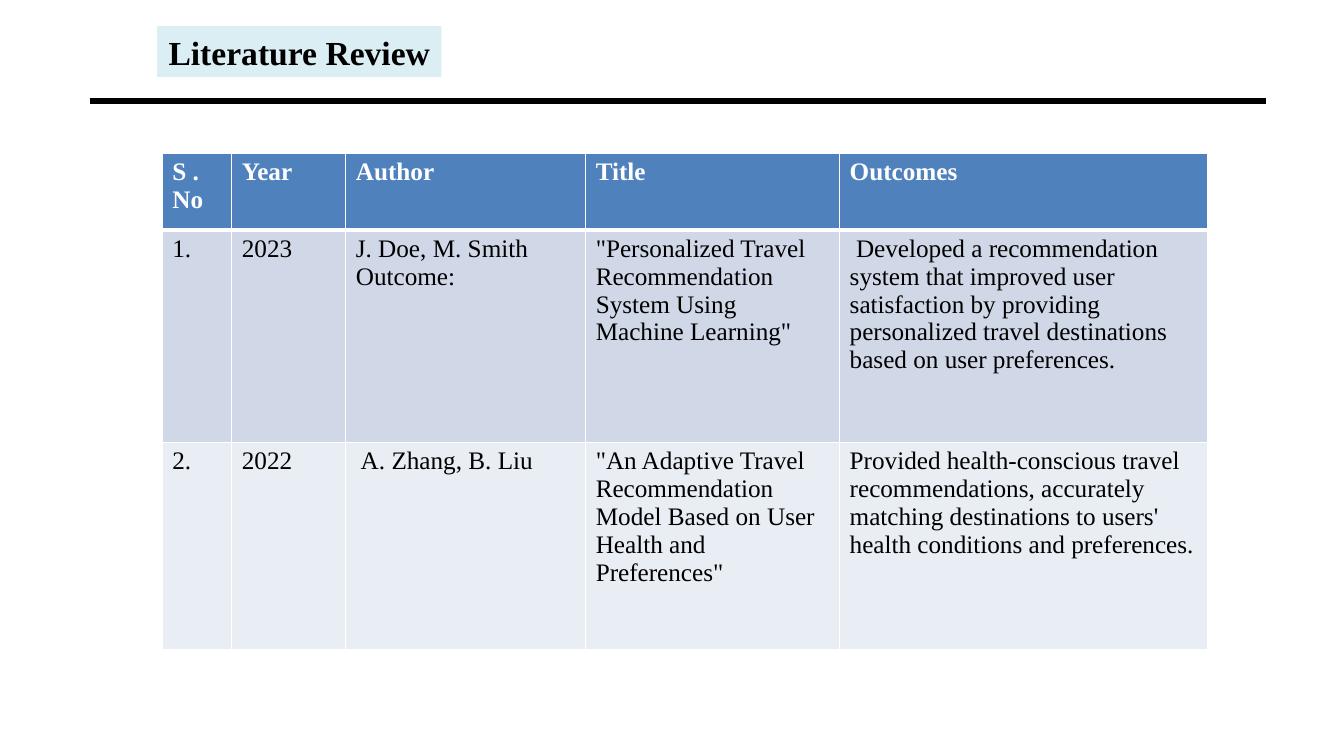
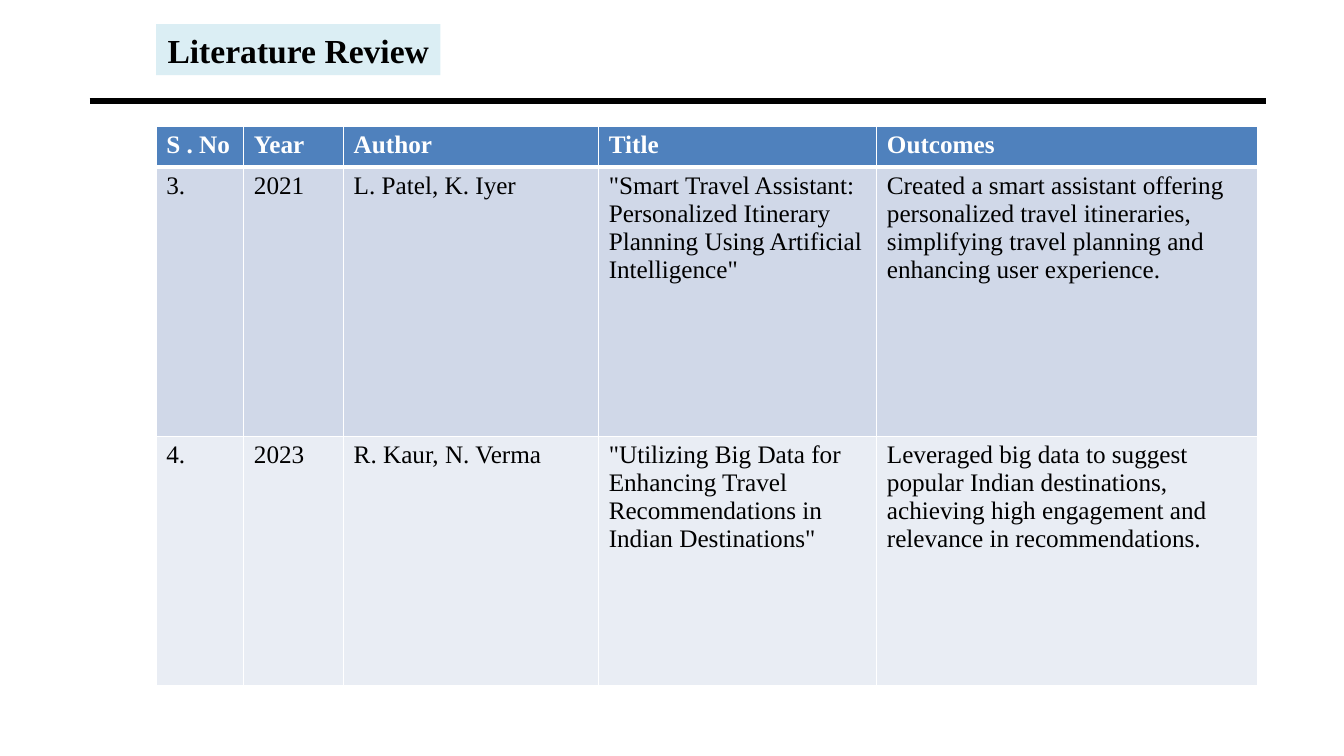
from lxml.etree import SubElement
from pptx import Presentation
from pptx.dml.color import RGBColor
from pptx.enum.shapes import MSO_CONNECTOR, MSO_SHAPE
from pptx.enum.text import MSO_ANCHOR, MSO_AUTO_SIZE, PP_ALIGN
from pptx.oxml.ns import qn
from pptx.util import Pt

BLACK = RGBColor(0x00, 0x00, 0x00)
WHITE = RGBColor(0xFF, 0xFF, 0xFF)
TITLE_FILL = RGBColor(0xDB, 0xEE, 0xF4)
HEADER_FILL = RGBColor(0x4F, 0x81, 0xBD)
BAND_FILLS = [RGBColor(0xD0, 0xD8, 0xE8), RGBColor(0xE9, 0xED, 0xF4)]
FONT = "Times New Roman"

TITLE = "Literature Review"
HEADER = ["S . No", "Year", "Author", "Title", "Outcomes"]

REVIEWS = [
    {
        "title_at": (112.3, 18.7),
        "table_at": (115.9, 109.4),
        "widths": [49.7, 81.4, 171.4, 181.4, 262.8],
        "heights": [54.7, 151.9, 148.3],
        "papers": [
            ["1.", "2023", "J. Doe, M. Smith\nOutcome:",
             '"Personalized Travel Recommendation System Using Machine Learning"',
             " Developed a recommendation system that improved user satisfaction by "
             "providing personalized travel destinations based on user preferences."],
            ["2.", "2022", " A. Zhang, B. Liu",
             '"An Adaptive Travel Recommendation Model Based on User Health and '
             'Preferences"',
             "Provided health-conscious travel recommendations, accurately matching "
             "destinations to users' health conditions and preferences."],
        ],
    },
    {
        "title_at": (111.6, 17.3),
        "table_at": (111.6, 90),
        "widths": [62.6, 71.3, 182.2, 198.7, 272.2],
        "heights": [29.5, 192.2, 177.8],
        "papers": [
            ["3.", "2021", "L. Patel, K. Iyer",
             '"Smart Travel Assistant: Personalized Itinerary Planning Using '
             'Artificial Intelligence"',
             "Created a smart assistant offering personalized travel itineraries, "
             "simplifying travel planning and enhancing user experience."],
            ["4.", "2023", "R. Kaur, N. Verma",
             '"Utilizing Big Data for Enhancing Travel Recommendations in Indian '
             'Destinations"',
             "Leveraged big data to suggest popular Indian destinations, achieving "
             "high engagement and relevance in recommendations."],
        ],
    },
]


def set_text(tf, text, size, color, bold):
    tf.text = text
    for p in tf.paragraphs:
        for r in p.runs:
            r.font.name = FONT
            r.font.size = Pt(size)
            r.font.bold = bold
            r.font.color.rgb = color


def add_rule(s):
    """Draw the heavy line below the title."""
    line = s.shapes.add_connector(
        MSO_CONNECTOR.STRAIGHT, Pt(64), Pt(72), Pt(904.3), Pt(72))
    line.line.color.rgb = BLACK
    line.line.width = Pt(4.5)
    SubElement(line._element.spPr, qn("a:effectLst"))


def add_title(s, left, top):
    sp = s.shapes.add_shape(
        MSO_SHAPE.RECTANGLE, Pt(left), Pt(top), Pt(203), Pt(36.3))
    sp.shadow.inherit = False
    sp.fill.solid()
    sp.fill.fore_color.rgb = TITLE_FILL
    sp.line.fill.background()
    tf = sp.text_frame
    set_text(tf, TITLE, 24, BLACK, True)
    tf.word_wrap = False
    tf.auto_size = MSO_AUTO_SIZE.SHAPE_TO_FIT_TEXT
    tf.vertical_anchor = MSO_ANCHOR.MIDDLE
    tf.paragraphs[0].alignment = PP_ALIGN.CENTER


def set_borders(cell, top, bottom):
    """Add white cell borders; must run before the cell gets its fill."""
    tc_pr = cell._tc.get_or_add_tcPr()
    for side, width in (("L", 1), ("R", 1), ("T", top), ("B", bottom)):
        ln = SubElement(tc_pr, qn(f"a:ln{side}"), w=str(Pt(width)))
        fill = SubElement(ln, qn("a:solidFill"))
        SubElement(fill, qn("a:srgbClr"), val=str(WHITE))


def add_review_table(s, left, top, widths, heights, papers):
    rows = [HEADER] + papers
    table = s.shapes.add_table(
        len(rows), len(HEADER), Pt(left), Pt(top),
        Pt(sum(widths)), Pt(sum(heights))).table
    for column, width in zip(table.columns, widths):
        column.width = Pt(width)
    for i, (row, height, texts) in enumerate(zip(table.rows, heights, rows)):
        row.height = Pt(height)
        is_header = i == 0
        fill = HEADER_FILL if is_header else BAND_FILLS[(i - 1) % 2]
        for cell, text in zip(row.cells, texts):
            set_borders(cell, 3 if i == 1 else 1, 3 if is_header else 1)
            cell.fill.solid()
            cell.fill.fore_color.rgb = fill
            set_text(cell.text_frame, text, 18,
                     WHITE if is_header else BLACK, is_header)


def main():
    prs = Presentation()
    prs.slide_width, prs.slide_height = Pt(960), Pt(540)
    for review in REVIEWS:
        s = prs.slides.add_slide(prs.slide_layouts[6])
        add_rule(s)
        add_title(s, *review["title_at"])
        add_review_table(s, *review["table_at"], review["widths"],
                         review["heights"], review["papers"])
    prs.save("out.pptx")


if __name__ == "__main__":
    main()
